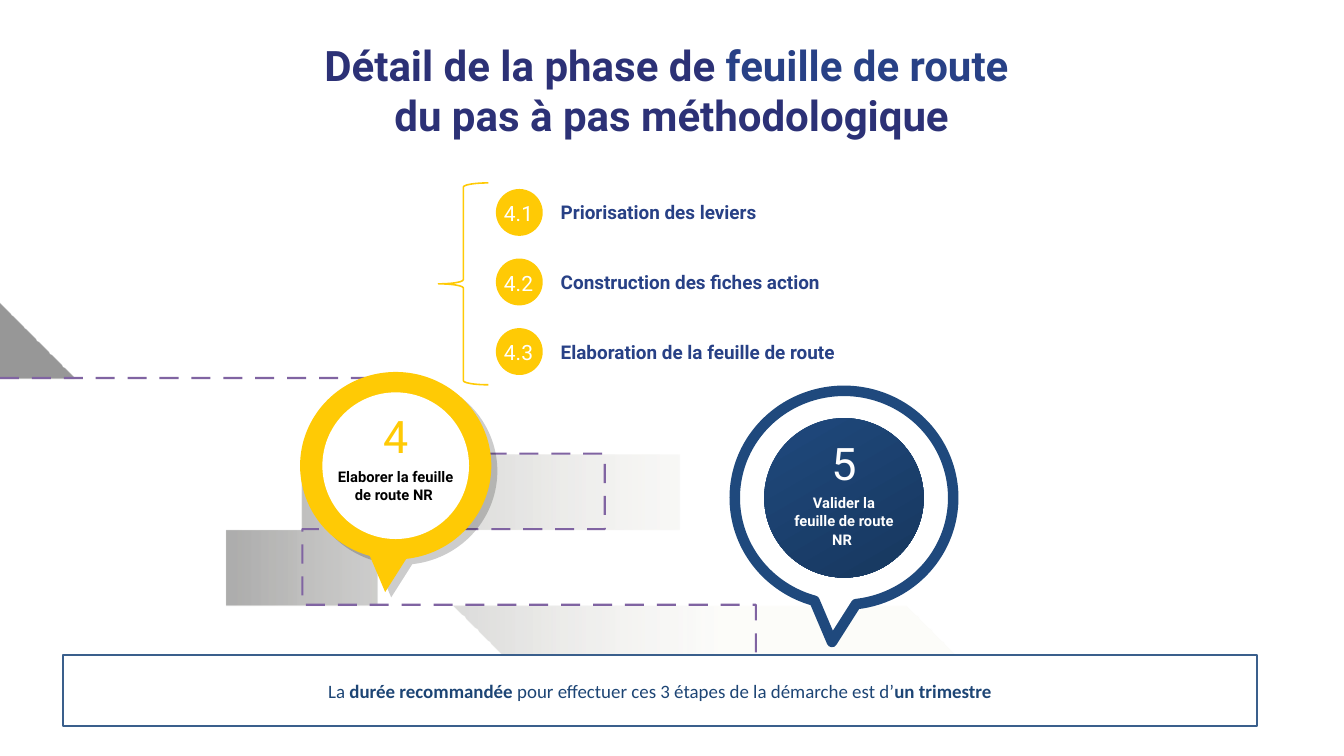
from lxml import etree
from pptx import Presentation
from pptx.dml.color import RGBColor
from pptx.enum.shapes import MSO_SHAPE
from pptx.enum.text import MSO_ANCHOR, MSO_AUTO_SIZE, PP_ALIGN
from pptx.oxml.ns import qn
from pptx.util import Inches, Pt

CENTER, LEFT = PP_ALIGN.CENTER, PP_ALIGN.LEFT
TOP, MIDDLE = MSO_ANCHOR.TOP, MSO_ANCHOR.MIDDLE
GROW, FIXED = MSO_AUTO_SIZE.SHAPE_TO_FIT_TEXT, MSO_AUTO_SIZE.NONE
CALLOUT, OVAL = MSO_SHAPE.OVAL_CALLOUT, MSO_SHAPE.OVAL
BRACE, RECTANGLE = MSO_SHAPE.LEFT_BRACE, MSO_SHAPE.RECTANGLE

YELLOW, WHITE, NAVY, BLUE, INDIGO = "FFCA05", "FFFFFF", "1F497D", "284186", "2C3176"
OFF_WHITE, BLACK, LANE = "FEFEFE", "000000", "8064A2"

ROAD_START = (0, 4.62)
ROAD_LEFT_EDGE = [
    [(2.88, 4.67), (5.04, 4.98), (4.98, 5.19)],
    [(4.92, 5.4), (3.43, 5.69), (3.51, 6.1)],
    [(3.58, 6.51), (4.72, 6.58), (5.85, 6.55)],
    [(6.98, 6.52), (7.44, 6.59), (7.44, 6.7)],
    [(7.44, 6.81), (5.97, 6.96), (4.41, 7.04)],
    [(2.85, 7.13), (2.88, 7.8), (4.28, 8.07)],
    [(5.68, 8.34), (10.22, 8.73), (12.02, 9.49)],
]
ROAD_END = (14.99, 9.49)
ROAD_RIGHT_EDGE = [
    [(13.69, 8.48), (10.7, 8.13), (8.3, 7.98)],
    [(5.89, 7.83), (4.6, 7.68), (4.8, 7.54)],
    [(5, 7.4), (8.43, 7.38), (8.66, 6.86)],
    [(8.92, 6.3), (7.45, 6.11), (6.2, 6.17)],
    [(5.03, 6.23), (4.06, 6.19), (4.36, 5.97)],
    [(4.66, 5.76), (5.89, 5.34), (5.5, 5.07)],
    [(5.12, 4.79), (3.45, 4.5), (0, 4.5)],
]
LANE_POINTS = [
    (0, 4.56), (0.98, 4.57), (1.84, 4.6), (2.68, 4.65), (3.52, 4.73), (4.34, 4.83),
    (4.75, 4.91), (5.11, 5.02), (5.25, 5.15), (5.15, 5.31), (4.86, 5.48), (4.5, 5.61),
    (4.17, 5.75), (3.99, 5.96), (4.1, 6.16), (4.45, 6.3), (4.87, 6.36), (5.54, 6.39),
    (6.39, 6.37), (7.02, 6.35), (7.42, 6.37), (7.82, 6.44), (8.02, 6.52), (8.16, 6.68),
    (8.06, 6.81), (7.72, 6.94), (7.3, 7.01), (6.46, 7.09), (4.78, 7.23),
    (4.36, 7.28), (4.01, 7.4), (3.95, 7.49), (4.03, 7.6), (4.35, 7.75), (4.73, 7.85),
    (5.39, 7.96), (6.21, 8.07), (7.04, 8.15), (8.72, 8.31), (9.55, 8.42),
    (10.38, 8.54), (11.19, 8.68), (11.97, 8.85), (12.72, 9.07),
    (13.08, 9.2), (13.37, 9.36), (13.57, 9.49),
]


def rgb(color):
    return RGBColor.from_string(color)


def set_alpha(fill_owner, percents):
    for color, percent in zip(fill_owner.iter(qn("a:srgbClr")), percents):
        etree.SubElement(color, qn("a:alpha"), val=str(percent * 1000))


def paint(shape, fill=None, line=None, width=1):
    shape.shadow.inherit = False
    if fill:
        shape.fill.solid()
        shape.fill.fore_color.rgb = rgb(fill)
    else:
        shape.fill.background()
    if line:
        shape.line.color.rgb = rgb(line)
        shape.line.width = Pt(width)
    else:
        shape.line.fill.background()


def paint_gradient(shape, stops, angle=0):
    shape.fill.gradient()
    shape.fill.gradient_angle = angle
    for stop, (position, color) in zip(shape.fill.gradient_stops, stops):
        stop.position = position
        stop.color.rgb = rgb(color)


def add_shape(slide, kind, box, fill=None, line=None, width=1):
    shape = slide.shapes.add_shape(kind, *map(Inches, box))
    paint(shape, fill, line, width)
    return shape


def add_run(paragraph, text, size, color, bold=False, font="Roboto"):
    run = paragraph.add_run()
    run.text = text
    run.font.size, run.font.bold, run.font.name = Pt(size), bold, font
    run.font.color.rgb = rgb(color)


def add_text(slide, box, text, size, color, bold=False, align=CENTER, anchor=TOP,
             spacing=None, wrap=True):
    frame = slide.shapes.add_textbox(*map(Inches, box)).text_frame
    frame.word_wrap, frame.auto_size, frame.vertical_anchor = wrap, GROW, anchor
    paragraph = frame.paragraphs[0]
    paragraph.alignment = align
    if spacing:
        paragraph.line_spacing = Pt(spacing)
    add_run(paragraph, text, size, color, bold)


def bezier(start, first, second, end, steps=7):
    for step in range(1, steps + 1):
        t = step / steps
        u = 1 - t
        yield tuple(u**3 * a + 3 * u * u * t * b + 3 * u * t * t * c + t**3 * d
                    for a, b, c, d in zip(start, first, second, end))


def trace(start, curves):
    points = [start]
    for curve in curves:
        points.extend(bezier(points[-1], *curve))
    return points


def add_outline(slide, points, close):
    builder = slide.shapes.build_freeform(*points[0], scale=Inches(1))
    builder.add_line_segments(points[1:], close=close)
    return builder.convert_to_shape()


def add_road(slide):
    edge = trace(ROAD_START, ROAD_LEFT_EDGE) + trace(ROAD_END, ROAD_RIGHT_EDGE)
    road = add_outline(slide, edge, True)
    paint(road)
    paint_gradient(road, [(0.13, BLACK), (0.64, "EEECE1")])
    set_alpha(road._element.spPr.find(qn("a:gradFill")), [40, 15])

    lane = add_outline(slide, LANE_POINTS, False)
    paint(lane, line=LANE, width=2)
    dashes = etree.SubElement(lane.line._get_or_add_ln(), qn("a:custDash"))
    etree.SubElement(dashes, qn("a:ds"), d="900000", sp="610000")


def add_title(slide, box):
    title = slide.shapes.title
    title.left, title.top, title.width, title.height = map(Inches, box)
    frame = title.text_frame
    frame.margin_left = frame.margin_right = frame.margin_top = frame.margin_bottom = 0
    frame.word_wrap, frame.auto_size, frame.vertical_anchor = True, FIXED, TOP
    heading = frame.paragraphs[0]
    heading.alignment = CENTER
    add_run(heading, "Détail de la phase de ", 40, INDIGO, True)
    add_run(heading, "feuille de route ", 40, BLUE, True)
    heading.add_line_break()
    add_run(heading, "du pas à pas méthodologique", 40, INDIGO, True)


def add_callout(slide, box, fill, line=None, width=1):
    callout = add_shape(slide, CALLOUT, box, fill, line, width)
    callout.adjustments[0], callout.adjustments[1] = -0.055, 0.674
    return callout


def add_pin(slide, box, ring, disc_size, number, number_rise, caption, caption_drop,
            caption_width, number_color, caption_color):
    left, top, width, height = box
    x, y = left + width / 2, top + height / 2
    add_callout(slide, box, *ring)
    disc = add_shape(slide, OVAL, (x - disc_size / 2, y - disc_size / 2,
                                   disc_size, disc_size), WHITE)
    add_text(slide, (x - 0.27, y - number_rise - 0.41, 0.54, 0.82), number, 42.7,
             number_color, anchor=MIDDLE, wrap=False)
    add_text(slide, (x - caption_width / 2, y + caption_drop - 0.28, caption_width, 0.57),
             caption, 14, caption_color, True, anchor=MIDDLE, spacing=17.3)
    return disc


def add_pins(slide):
    shade = add_callout(slide, (4.05, 4.99, 2.53, 2.48), "010101")
    set_alpha(shade._element.spPr, [20])
    add_pin(slide, (3.97, 4.92, 2.53, 2.48), (YELLOW,), 1.94, "4", 0.4,
            "Elaborer la feuille de route NR ", 0.26, 1.81, YELLOW, BLACK)
    disc = add_pin(slide, (9.72, 5.17, 2.89, 2.83), (WHITE, NAVY, 10), 2.11, "5", 0.47,
                   "Valider la feuille de route NR ", 0.3, 1.6, OFF_WHITE, OFF_WHITE)
    paint_gradient(disc, [(0, NAVY), (1, "17375E")], 300)


def add_steps(slide, box, steps):
    left, top, width, height = box
    add_shape(slide, BRACE, (left, top, 0.66, height), line=YELLOW, width=1.5)
    pitch = 0.92
    for index, step in enumerate(steps):
        x, y = left + 0.76, top + 0.08 + index * pitch
        add_shape(slide, OVAL, (x, y, 0.62, 0.62), YELLOW)
        add_text(slide, (x, y + 0.07, 0.6, 0.46), f"4.{index + 1}", 20, WHITE, spacing=26.7)
        add_text(slide, (x + 0.76, y + 0.11, width - 1.52, 0.4), step, 18, BLUE, True, LEFT)


def add_duration(slide, box):
    banner = add_shape(slide, RECTANGLE, box, WHITE, "3A5F8C", 2)
    banner.text_frame.word_wrap = True
    banner.text_frame.vertical_anchor = MIDDLE
    sentence = banner.text_frame.paragraphs[0]
    sentence.alignment = CENTER
    for text, bold in [("La ", False), ("durée recommandée ", True),
                       ("pour effectuer ces 3 étapes de la démarche est d’", False),
                       ("un trimestre", True)]:
        add_run(sentence, text, 18, "1D4575", bold, "Calibri")


def main():
    deck = Presentation()
    deck.slide_width, deck.slide_height = Inches(17.78), Inches(10)
    slide = deck.slides.add_slide(deck.slide_layouts[5])
    add_title(slide, (1.09, 0.52, 15.59, 1.35))
    add_road(slide)
    add_duration(slide, (0.83, 8.67, 15.8, 0.93))
    add_pins(slide)
    add_steps(slide, (5.8, 2.42, 6.19, 2.67),
              ["Priorisation des leviers", "Construction des fiches action",
               "Elaboration de la feuille de route"])
    deck.save("out.pptx")


if __name__ == "__main__":
    main()
